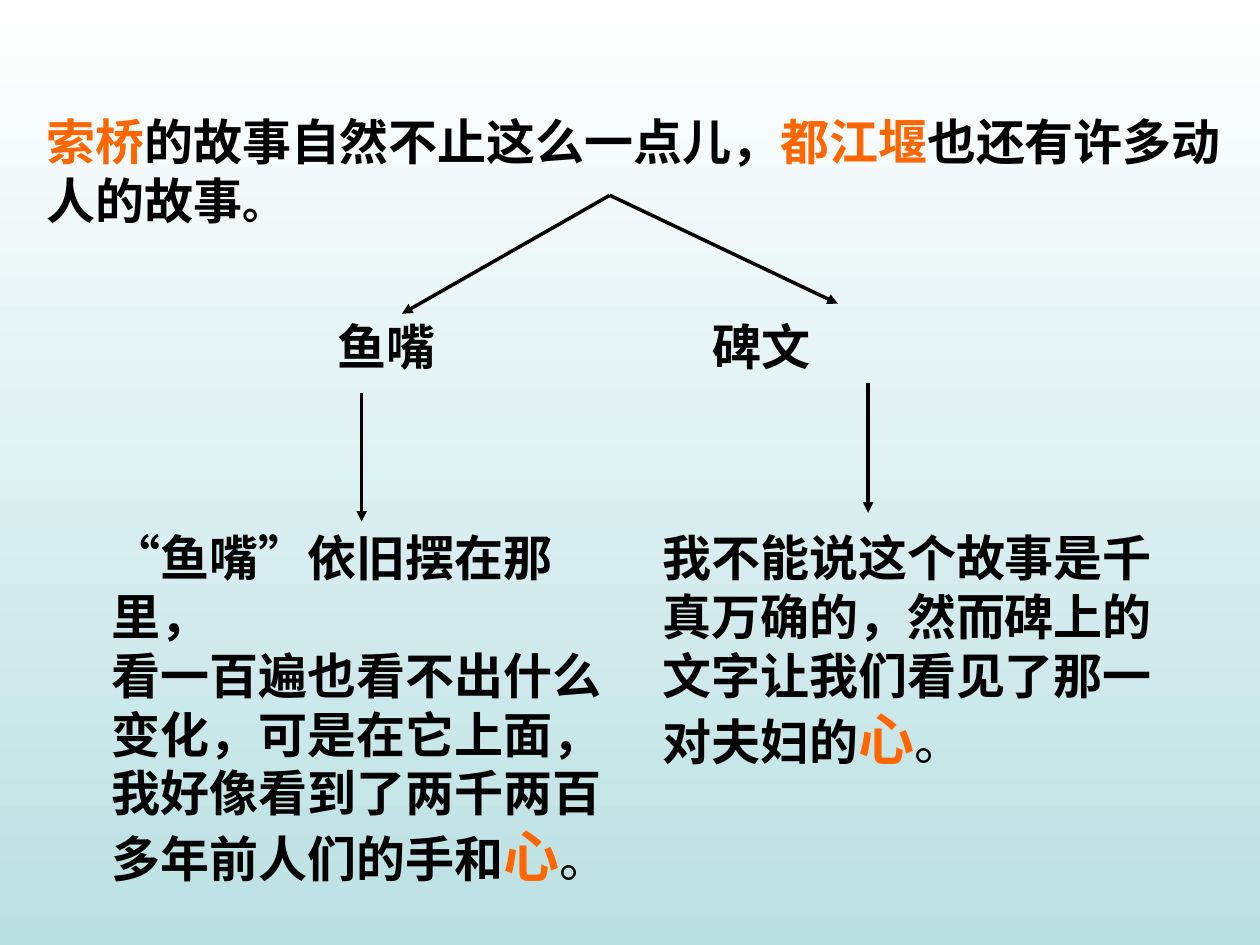
from lxml import etree
from pptx import Presentation, util as u
from pptx.dml.color import RGBColor
from pptx.enum import shapes
from pptx.oxml.ns import qn

Inches, Pt = u.Inches, u.Pt
THEME = {
    "ink": RGBColor(0, 0, 0),
    "accent": RGBColor(0xFF, 0x66, 0),
    "top": RGBColor(0xFF, 0xFF, 0xFF),
    "base": RGBColor(0xBB, 0xE0, 0xE3),
    "latin": "Roboto",
    "asian": "Noto Sans CJK SC",
    "size": 28,
    "heart": 32,
    "stop": 24,
    "line": 33.6,
    "tall": 38.4,
    "rule": 2,
}
HOT = {"color": "accent"}
HEART = {"color": "accent", "size": "heart"}
QUOTE = {"font": "asian"}
SMALL = {"size": "stop"}
LIGHT = {"bold": False}

BOXES = [
    ((0.27, 0.84, 9.73, 1.04), "latin", [
        [("索桥", HOT), ("的故事自然不止这么一点儿，", {}), ("都江堰", HOT),
         ("也还有许多动人的故事", {}), ("。", SMALL)],
    ]),
    ((2.4, 2.46, 5.75, 1.04), "latin", [[("\t鱼嘴\t碑文", {})]]),
    ((0.79, 4.14, 4.25, 2.5), "latin", [
        [("“", QUOTE), ("鱼嘴", {}), ("”", QUOTE), ("依旧摆在那里，", {})],
        [("看一百遍也看不出什么", {})],
        [("变化，可是在它上面，", {})],
        [("我好像看到了两千两百", {})],
        [("多年前人们的手和", {}), ("心", HEART), ("。", LIGHT)],
    ]),
    ((5.16, 4.14, 4.33, 2.04), "asian", [
        [("我不能说这个故事是千", {})],
        [("真万确的，然而碑上的", {})],
        [("文字让我们看见了那一", {})],
        [("对夫妇的", {}), ("心", HEART), ("。", LIGHT)],
    ]),
]
STOPS = [0.18, 3.16]
FORK = (4.84, 1.55)
ARROWS = [
    (FORK, (3.19, 2.49)),
    (FORK, (6.65, 2.41)),
    ((2.87, 3.12), (2.87, 4.14)),
    ((6.89, 3.04), (6.89, 4.07)),
]


def set_asian(props):
    face = etree.SubElement(props, qn("a:ea"))
    face.set("typeface", THEME["asian"])


def add_tabs(para):
    tabs = etree.SubElement(para._p.get_or_add_pPr(), qn("a:tabLst"))
    for stop in STOPS:
        tab = etree.SubElement(tabs, qn("a:tab"))
        tab.set("pos", str(Inches(stop)))
        tab.set("algn", "l")


def add_run(para, words, look):
    run = para.add_run()
    run.text = words
    font = run.font
    font.color.rgb = THEME[look.get("color", "ink")]
    if "size" in look:
        font.size = Pt(THEME[look["size"]])
    if "bold" in look:
        font.bold = look["bold"]
    if "font" in look:
        font.name = THEME[look["font"]]
    set_asian(run._r.get_or_add_rPr())


def add_box(slide, place, face, lines):
    frame = slide.shapes.add_textbox(*map(Inches, place)).text_frame
    frame.word_wrap = True
    for i, parts in enumerate(lines):
        para = frame.paragraphs[0] if i == 0 else frame.add_paragraph()
        para._p.get_or_add_pPr().set("hangingPunct", "0")
        if any("\t" in words for words, look in parts):
            add_tabs(para)
        para.font.name = THEME[face]
        para.font.size = Pt(THEME["size"])
        para.font.bold = True
        tall = any(look is HEART for words, look in parts)
        para.line_spacing = Pt(THEME["tall" if tall else "line"])
        for words, look in parts:
            add_run(para, words, look)


def add_arrow(slide, start, end):
    line = slide.shapes.add_connector(
        shapes.MSO_CONNECTOR.STRAIGHT, *map(Inches, start + end))
    line.line.color.rgb = THEME["ink"]
    line.line.width = Pt(THEME["rule"])
    tip = etree.SubElement(line.line._get_or_add_ln(), qn("a:tailEnd"))
    tip.set("type", "triangle")
    etree.SubElement(line._element.spPr, qn("a:effectLst"))


def main():
    deck = Presentation()
    deck.slide_width, deck.slide_height = Inches(10), Inches(7.5)
    slide = deck.slides.add_slide(deck.slide_layouts[6])
    fill = slide.background.fill
    fill.gradient()
    fill.gradient_angle = 270
    for stop, name, place in zip(fill.gradient_stops, ("top", "base"), (0, 1)):
        stop.color.rgb = THEME[name]
        stop.position = place
    for box in BOXES:
        add_box(slide, *box)
    for start, end in ARROWS:
        add_arrow(slide, start, end)
    deck.save("out.pptx")


if __name__ == "__main__":
    main()
